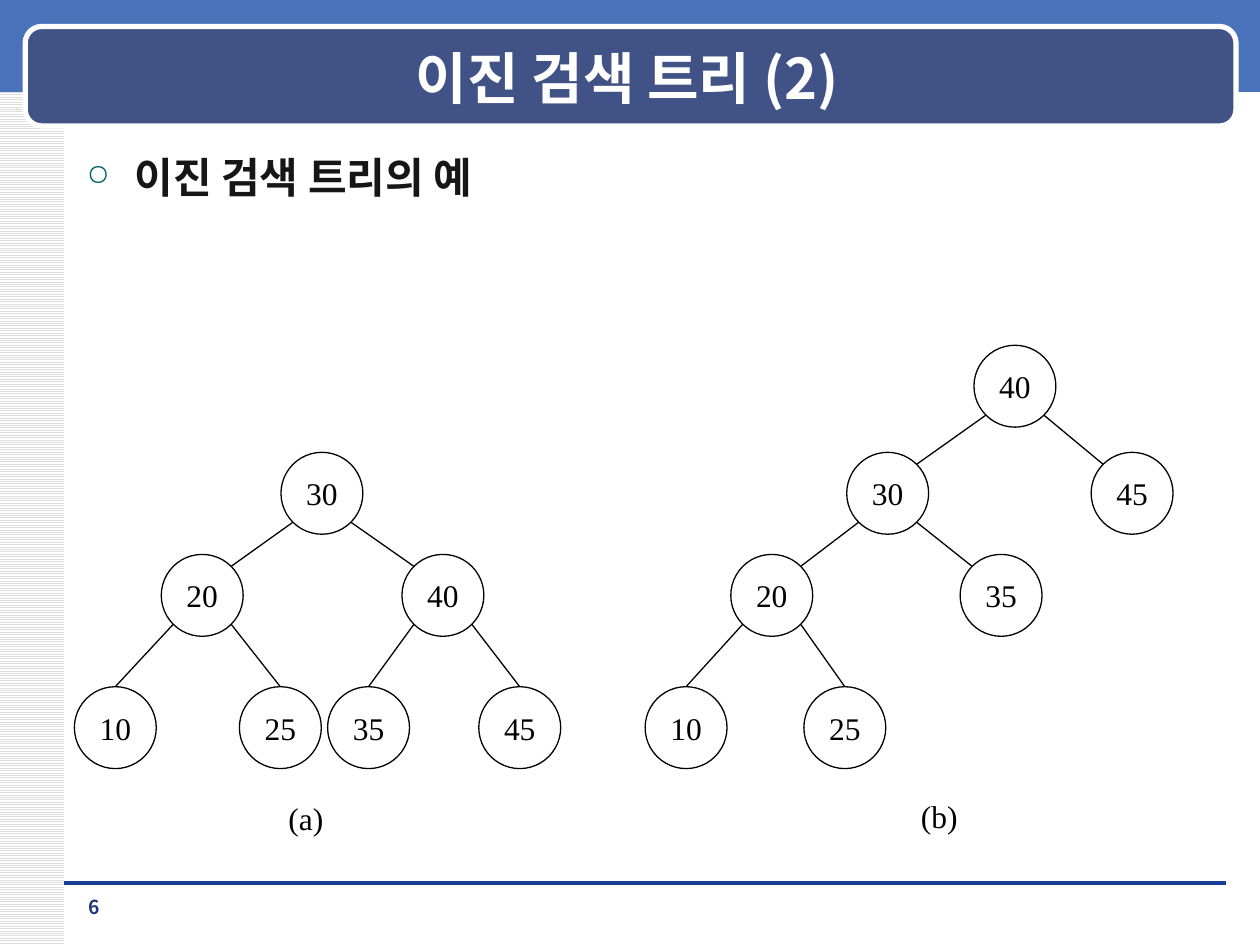
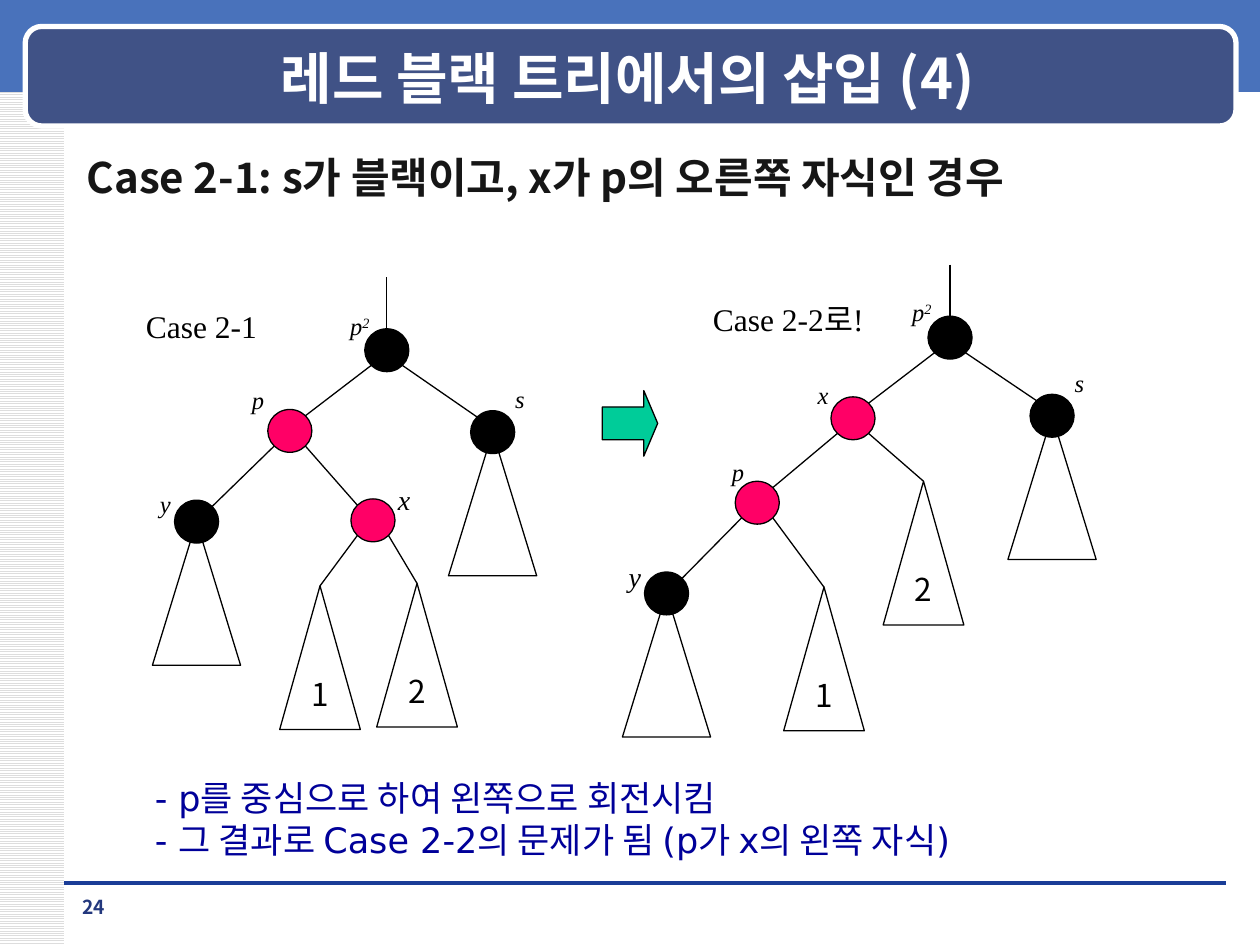
from lxml import etree
from pptx import Presentation
from pptx.dml.color import RGBColor
from pptx.enum.dml import MSO_PATTERN
from pptx.enum.shapes import MSO_CONNECTOR, MSO_SHAPE
from pptx.enum.text import MSO_ANCHOR, PP_ALIGN
from pptx.oxml.ns import qn
from pptx.util import Inches, Pt

RECT, ROUND = MSO_SHAPE.RECTANGLE, MSO_SHAPE.ROUNDED_RECTANGLE
OVAL, CONE, ARROW = MSO_SHAPE.OVAL, MSO_SHAPE.ISOSCELES_TRIANGLE, MSO_SHAPE.RIGHT_ARROW
STRAIGHT = MSO_CONNECTOR.STRAIGHT
LEFT, CENTER = PP_ALIGN.LEFT, PP_ALIGN.CENTER
TOP, MIDDLE = MSO_ANCHOR.TOP, MSO_ANCHOR.MIDDLE

WIDE, HIGH = 10, 7.5
SIDE = 0.51
SANS, SERIF, PLAIN = "Noto Sans CJK KR", "Times New Roman", "DejaVu Sans"
HEX = {
    "white": "FFFFFF", "black": "000000", "red": "FF0066", "green": "00CC99",
    "band": "4972BB", "plate": "405286", "rule": "1A3D97", "stripe": "DDDDDD",
    "body": "161616", "bullet": "006666", "page": "23387D", "note": "000099",
}

# Search trees: key, parent, row, left
ROWS = [2.74, 3.59, 4.4, 5.45]
DISC = 0.65
SEARCH = [
    {"name": "(a)", "at": (2.19, 6.29), "nodes": [
        ("30", None, 1, 2.23), ("20", "30", 2, 1.28), ("40", "30", 2, 3.19),
        ("10", "20", 3, 0.59), ("25", "20", 3, 1.9),
        ("35", "40", 3, 2.6), ("45", "40", 3, 3.8)]},
    {"name": "(b)", "at": (7.21, 6.28), "nodes": [
        ("40", None, 0, 7.73), ("30", "40", 1, 6.72), ("45", "40", 1, 8.66),
        ("20", "30", 2, 5.8), ("35", "30", 2, 7.62),
        ("10", "20", 3, 5.12), ("25", "20", 3, 6.38)]},
]

# Red-black trees: key, parent, centre, colour, label offset, label size, has subtree
# Leaves: number, parent, apex
DOT = (0.35, 0.34)
HUNG, LEAF = (0.7, 1.14), (0.64, 1.14)
COLOUR = [
    {"name": "Case 2-1", "at": (1.06, 2.39), "wide": 1.08,
     "nodes": [
         ("p2", None, (3.07, 2.78), "black", (-0.39, -0.36), 14, False),
         ("p", "p2", (2.3, 3.42), "red", (-0.4, -0.41), 14, False),
         ("s", "p2", (3.91, 3.43), "black", (0.08, -0.43), 14, True),
         ("y", "p", (1.56, 4.14), "black", (-0.39, -0.31), 14, True),
         ("x", "p", (2.96, 4.13), "red", (0.1, -0.35), 16, False)],
     "leaves": [("1", "x", (2.54, 4.65)), ("2", "x", (3.31, 4.63))]},
    {"name": "Case 2-2로!", "at": (5.56, 2.33), "wide": 1.42,
     "nodes": [
         ("p2", None, (7.54, 2.68), "black", (-0.4, -0.37), 14, False),
         ("x", "p2", (6.77, 3.32), "red", (-0.38, -0.35), 14, False),
         ("s", "p2", (8.35, 3.3), "black", (0.08, -0.43), 14, True),
         ("p", "x", (6.01, 3.99), "red", (-0.3, -0.41), 14, False),
         ("y", "p", (5.29, 4.71), "black", (-0.4, -0.32), 16, True)],
     "leaves": [("2", "x", (7.33, 3.82)), ("1", "p", (6.54, 4.66))]},
]
NOTES = ["- p를 중심으로 하여 왼쪽으로 회전시킴",
         "- 그 결과로 Case 2-2의 문제가 됨 (p가 x의 왼쪽 자식)"]


def rgb(name):
    return RGBColor.from_string(HEX[name])


def style(shape, fill=None, line="black", width=0.75):
    shape.shadow.inherit = False
    if fill:
        shape.fill.solid()
        shape.fill.fore_color.rgb = rgb(fill)
    else:
        shape.fill.background()
    if line:
        shape.line.color.rgb = rgb(line)
        shape.line.width = Pt(width)
    else:
        shape.line.fill.background()


def form(slide, kind, box, **look):
    shape = slide.shapes.add_shape(kind, *map(Inches, box))
    style(shape, **look)
    return shape


def put(para, text, size, font, color="black", bold=False, italic=False, lift=0):
    run = para.add_run()
    run.text = text
    face = run.font
    face.size, face.name, face.bold, face.italic = Pt(size), font, bold, italic
    face.color.rgb = rgb(color)
    props = run.font._element
    etree.SubElement(props, qn("a:ea"), typeface=SANS)
    if lift:
        props.set("baseline", str(lift))


def frame(shape, align=CENTER, anchor=MIDDLE, wrap=False):
    """Set up a shape's text and return its first paragraph."""
    text = shape.text_frame
    text.word_wrap, text.vertical_anchor = wrap, anchor
    text.paragraphs[0].alignment = align
    return text.paragraphs[0]


def label(slide, box, align=LEFT, anchor=TOP, wrap=False):
    return frame(slide.shapes.add_textbox(*map(Inches, box)), align, anchor, wrap)


def wire(slide, start, end, color="black", width=0.75):
    line = slide.shapes.add_connector(STRAIGHT, *map(int, (*start, *end)))
    line.line.color.rgb = rgb(color)
    line.line.width = Pt(width)
    etree.SubElement(line._element.spPr, qn("a:effectLst"))
    return line


def rim(shape, across, down):
    """Point on an oval's edge, on the diagonal given by two signs."""
    share = 0.5 ** 1.5
    return (shape.left + shape.width * (0.5 + across * share),
            shape.top + shape.height * (0.5 + down * share))


def link(slide, parent, child, apex=False):
    """Join parent to child, at the child's top if apex, else at its upper diagonal."""
    way = 1 if child.left + child.width / 2 > parent.left + parent.width / 2 else -1
    line = wire(slide, rim(parent, way, 1), rim(child, -way, -1))
    if apex:
        line.end_connect(child, 0)


def base(deck, title, page):
    slide = deck.slides.add_slide(deck.slide_layouts[6])
    strip = form(slide, RECT, (0, 0, SIDE, HIGH), line=None)
    strip.fill.patterned()
    strip.fill.pattern = MSO_PATTERN.LIGHT_HORIZONTAL
    strip.fill.fore_color.rgb = rgb("stripe")
    strip.fill.back_color.rgb = rgb("white")
    form(slide, RECT, (0, -0.03, WIDE, 0.76), fill="band", line=None)
    wire(slide, (Inches(SIDE), Inches(7.01)), (Inches(9.73), Inches(7.01)), "rule", 0)
    form(slide, ROUND, (0.2, 0.21, 9.61, 0.79), fill="plate", line="white", width=3)
    head = label(slide, (0.71, 0.3, 8.54, 0.62), CENTER, MIDDLE, True)
    put(head, title, 32, SANS, "white", bold=True)
    foot = label(slide, (SIDE, 7.06, 0.47, 0.27), CENTER, wrap=True)
    put(foot, page, 11, SANS, "page", bold=True)
    return slide


def lead(slide, text, bullet=False):
    para = label(slide, (0.59, 1.15, 8.9, 5.75), wrap=True)
    if bullet:
        props = para._p.get_or_add_pPr()
        props.set("marL", str(Inches(0.38)))
        props.set("indent", str(-Inches(0.38)))
        tint = etree.SubElement(props, qn("a:buClr"))
        etree.SubElement(tint, qn("a:srgbClr"), val=HEX["bullet"])
        etree.SubElement(props, qn("a:buSzPct"), val="70000")
        etree.SubElement(props, qn("a:buChar"), char="○")
    put(para, text, 24, SANS, "body", bold=True)


def search(slide, tree):
    discs = {}
    for key, _, row, left in tree["nodes"]:
        discs[key] = form(slide, OVAL, (left, ROWS[row], DISC, DISC))
        put(frame(discs[key]), key, 18, SERIF)
    for key, parent, row, _ in tree["nodes"]:
        if parent:
            link(slide, discs[parent], discs[key], row == len(ROWS) - 1)
    put(label(slide, (*tree["at"], 0.49, 0.4)), tree["name"], 18, SERIF)


def colour(slide, tree):
    dots = {}
    wide, high = DOT
    for key, parent, (x, y), fill, (dx, dy), size, hung in tree["nodes"]:
        if hung:
            form(slide, CONE, (x - HUNG[0] / 2, y, *HUNG))
        dot = form(slide, OVAL, (x - wide / 2, y - high / 2, wide, high), fill=fill)
        dots[key] = dot
        if parent:
            link(slide, dots[parent], dot)
        else:
            stem = wire(slide, (Inches(x), Inches(y - 0.58)), (Inches(x), dot.top))
            stem.end_connect(dot, 0)
        para = label(slide, (x + dx, y + dy, 0.36 if key[1:] else 0.29, 0.33))
        put(para, key[0], size, SERIF, italic=True)
        if key[1:]:
            put(para, key[1:], size, SERIF, italic=True, lift=30000)
    for key, parent, (x, y) in tree["leaves"]:
        leaf = form(slide, CONE, (x - LEAF[0] / 2, y, *LEAF))
        put(frame(leaf), key, 18, SANS)
        link(slide, dots[parent], leaf, True)
    put(label(slide, (*tree["at"], tree["wide"], 0.4)), tree["name"], 18, SERIF)


def notes(slide):
    box = slide.shapes.add_textbox(*map(Inches, (0.63, 6.11, 8.38, 0.77)))
    box.text_frame.word_wrap = True
    for i, line in enumerate(NOTES):
        para = box.text_frame.add_paragraph() if i else box.text_frame.paragraphs[0]
        para.level = 1
        props = para._p.get_or_add_pPr()
        props.set("marL", str(Inches(0.5)))
        props.set("indent", "0")
        put(para, line, 20, PLAIN, "note")


def main():
    deck = Presentation()
    deck.slide_width, deck.slide_height = Inches(WIDE), Inches(HIGH)

    slide = base(deck, "이진 검색 트리 (2)", "6")
    lead(slide, "이진 검색 트리의 예", bullet=True)
    for tree in SEARCH:
        search(slide, tree)

    slide = base(deck, "레드 블랙 트리에서의 삽입 (4)", "24")
    lead(slide, "Case 2-1: s가 블랙이고, x가 p의 오른쪽 자식인 경우")
    for tree in COLOUR:
        colour(slide, tree)
    arrow = form(slide, ARROW, (4.78, 3.1, 0.44, 0.52), fill="green")
    arrow.adjustments[0], arrow.adjustments[1] = 0.5, 0.25
    notes(slide)

    deck.save("out.pptx")


if __name__ == "__main__":
    main()
